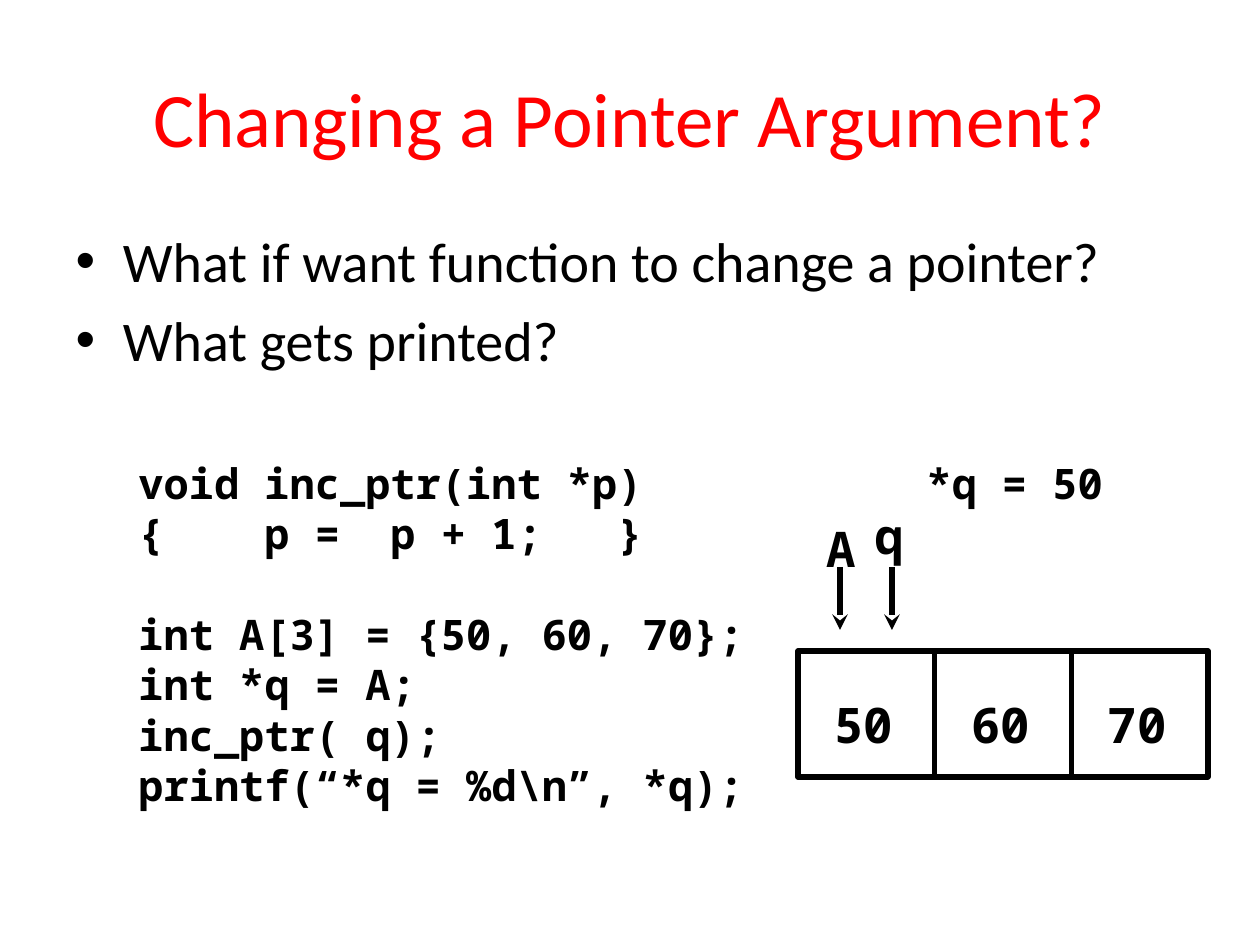
from lxml import etree
from pptx import Presentation, util as u
from pptx.dml.color import RGBColor
from pptx.enum import shapes, text
from pptx.oxml.ns import qn

PX = 914400 // 126
COLORS = {"title": "FF0000", "ink": "000000"}
CODE_FONT = "Noto Sans Mono"


def px(n):
    return u.Emu(round(n * PX))


def style(p, size, color="ink", name="Calibri", bold=None):
    p.font.size = u.Pt(size)
    p.font.name = name
    p.font.bold = bold
    p.font.color.rgb = RGBColor.from_string(COLORS[color])


def add_mono(s, box, lines, size, align=text.PP_ALIGN.LEFT):
    tf = s.shapes.add_textbox(*map(px, box)).text_frame
    tf.word_wrap = False
    tf.auto_size = text.MSO_AUTO_SIZE.SHAPE_TO_FIT_TEXT
    tf.text = "\n".join(lines)
    for p in tf.paragraphs:
        p.alignment = align
        style(p, size, name=CODE_FONT, bold=True)
    return tf


def add_line(s, x1, y1, x2, y2, arrow=False):
    c = s.shapes.add_connector(
        shapes.MSO_CONNECTOR.STRAIGHT, *map(px, (x1, y1, x2, y2)))
    c.line.width = u.Pt(3)
    c.line.color.rgb = RGBColor.from_string(COLORS["ink"])
    if arrow:
        etree.SubElement(c.line._get_or_add_ln(), qn("a:tailEnd"), type="stealth")
    etree.SubElement(c._element.spPr, qn("a:effectLst"))


def add_heading(s, title, bullets):
    s.shapes.title.text = title
    style(s.shapes.title.text_frame.paragraphs[0], 44, "title")
    tf = s.placeholders[1].text_frame
    tf.text = "\n".join(bullets)
    for p in tf.paragraphs:
        style(p, 32)


def add_code(s, box, function, calls):
    tf = add_mono(s, box, function + calls, 24)
    tf.paragraphs[len(function)].space_before = u.Pt(28.8)


def add_array(s, box, values):
    x, y, w, h = box
    sp = s.shapes.add_shape(shapes.MSO_SHAPE.RECTANGLE, *map(px, box))
    sp.shadow.inherit = False
    sp.fill.background()
    sp.line.width = u.Pt(3)
    sp.line.color.rgb = RGBColor.from_string(COLORS["ink"])
    cell = w / len(values)
    for i, value in enumerate(values):
        left = x + i * cell
        if i:
            add_line(s, left, y + h, left, y)
        add_mono(s, (left + 24, y + 37, 84, 72), [value], 28,
                 text.PP_ALIGN.CENTER)


def add_pointer(s, box, name, arrow_x):
    add_mono(s, box, [name], 28, text.PP_ALIGN.CENTER)
    add_line(s, arrow_x, 567, arrow_x, 630, arrow=True)


prs = Presentation()
prs.slide_width, prs.slide_height = u.Inches(10), u.Inches(7.5)
s = prs.slides.add_slide(prs.slide_layouts[1])
add_heading(s, "Changing a Pointer Argument?",
            ["What if want function to change a pointer?", "What gets printed?"])
add_code(s, (126, 451, 636, 369),
         ["void inc_ptr(int *p)", "{    p =  p + 1;   }"],
         ["int A[3] = {50, 60, 70};", "int *q = A;", "inc_ptr( q);",
          "printf(“*q = %d\\n”, *q);"])
add_mono(s, (914, 451, 202, 63), ["*q = 50"], 24)
add_array(s, (798, 651, 410, 126), ["50", "60", "70"])
add_pointer(s, (814, 512, 55, 72), "A", 840)
add_pointer(s, (862, 499, 55, 72), "q", 892)
prs.save("out.pptx")
